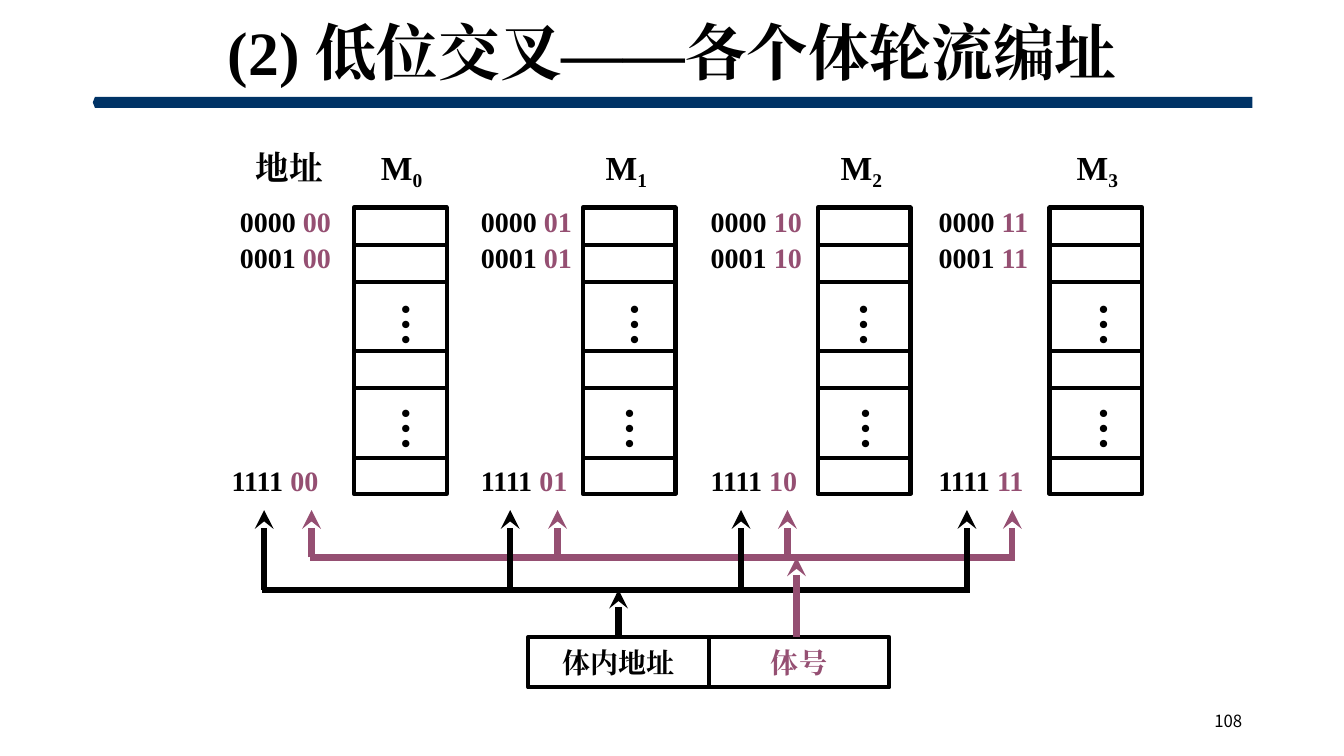
from pptx import Presentation
from pptx import util as u
from pptx.dml.color import RGBColor
from pptx.enum import shapes as sh, text as tx
from pptx.oxml.ns import qn
from lxml import etree

PX = 9144  # EMU per px, 100 px to the inch
BLACK = RGBColor(0, 0, 0)
PLUM = RGBColor(0x95, 0x4F, 0x72)
NAVY = RGBColor(0, 0x33, 0x66)
ROMAN, SANS = "Times New Roman", "Noto Sans CJK SC"

TITLE = "(2) 低位交叉——各个体轮流编址"
PAGE = "108"
HEAD = "地址"
# bank number, name x, cell x, address x, last address x, dots x, arrow x
BANKS = [
    ("0", 368, 351, 228, 220, (376, 376), (262, 309)),
    ("1", 591, 578, 467, 467, (603, 598), (506, 553)),
    ("2", 824, 811, 695, 695, (830, 832), (735, 781)),
    ("3", 1058, 1041, 921, 921, (1068, 1068), (959, 1004)),
]
ROWS = [206, 243, 280, 348, 385, 454, 490]
DOTS = [290, 393]
FIELDS = [("体内地址", 524, BLACK), ("体号", 703, PLUM)]
CELL_W, FIELD_W, FIELD_Y, FIELD_H = 92, 179, 632, 50
TIP, TAG_BUS, ROW_BUS = 506, 553, 585

deck = Presentation()
deck.slide_width, deck.slide_height = 1333 * PX, 750 * PX
page = deck.slides.add_slide(deck.slide_layouts[5])


def emu(*nums):
    return [round(n * PX) for n in nums]


def write(frame, *runs, size=20, font=ROMAN, bold=True, align=tx.PP_ALIGN.LEFT,
          anchor=tx.MSO_ANCHOR.TOP, wrap=False, grow=True, vert=None):
    """Fill a frame; each run is (words, colour) or (words, colour, baseline)."""
    frame.word_wrap = wrap
    fit = tx.MSO_AUTO_SIZE
    frame.auto_size = fit.SHAPE_TO_FIT_TEXT if grow else fit.NONE
    frame.vertical_anchor = anchor
    if vert:
        frame._txBody.bodyPr.set("vert", vert)
    para = frame.paragraphs[0]
    para.alignment = align
    for words, color, *base in runs:
        run = para.add_run()
        run.text = words
        run.font.size, run.font.bold, run.font.name = u.Pt(size), bold, font
        run.font.color.rgb = color
        props = run._r.get_or_add_rPr()
        etree.SubElement(props, qn("a:ea")).set("typeface", font)
        if base:
            props.set("baseline", str(base[0]))
    return para


def label(x, y, w, h, *runs, **form):
    write(page.shapes.add_textbox(*emu(x, y, w, h)).text_frame, *runs, **form)


def cell(x, y, w, h):
    box = page.shapes.add_shape(sh.MSO_SHAPE.RECTANGLE, *emu(x, y, w, h))
    box.shadow.inherit = False
    box.fill.background()
    box.line.color.rgb, box.line.width = BLACK, u.Pt(3)
    return box


def wire(x1, y1, x2, y2, color, arrow=True):
    bar = page.shapes.add_connector(sh.MSO_CONNECTOR.STRAIGHT,
                                    *emu(x1, y1, x2, y2))
    bar.line.color.rgb, bar.line.width = color, u.Pt(4.5)
    if arrow:
        tail = etree.SubElement(bar.line._get_or_add_ln(), qn("a:tailEnd"))
        tail.set("type", "stealth")
    etree.SubElement(bar._element.spPr, qn("a:effectLst"))
    return bar


def bank(num, name_x, cell_x, addr_x, last_x, dots, tips):
    label(name_x, 141, 63, 50, ("M", BLACK), (num, BLACK, -20000), size=24)
    for top, low in zip(ROWS, ROWS[1:]):
        cell(cell_x, top, CELL_W, low - top)
    for x, y in zip(dots, DOTS):
        label(x, y, 73, 55, ("…", BLACK), size=32, vert="eaVert")
    tag = format(int(num), "02b")
    for row, x, y in [("0000 ", addr_x, 198), ("0001 ", addr_x, 234),
                      ("1111 ", last_x, 455)]:
        label(x, y, 115, 43, (row, BLACK), (tag, PLUM), wrap=True)


def main():
    strip = page.shapes.add_shape(sh.MSO_SHAPE.PENTAGON, *emu(92, 96, 1150, 11))
    strip.adjustments[0] = 0.2
    strip.rotation = 180
    strip.shadow.inherit = False
    strip.fill.solid()
    strip.fill.fore_color.rgb = NAVY
    strip.line.fill.background()

    title = page.shapes.title
    title.left, title.top, title.width, title.height = emu(92, 14, 1150, 82)
    para = write(title.text_frame, (TITLE, BLACK), size=44, wrap=True, grow=False,
                 align=tx.PP_ALIGN.CENTER, anchor=tx.MSO_ANCHOR.MIDDLE)
    para.line_spacing = 0.9
    label(942, 695, 300, 40, (PAGE, BLACK), size=12, font=SANS, bold=False,
          wrap=True, grow=False, align=tx.PP_ALIGN.RIGHT,
          anchor=tx.MSO_ANCHOR.MIDDLE)

    label(244, 141, 87, 50, (HEAD, BLACK), size=24)
    for item in BANKS:
        bank(*item)

    boxes = []
    for words, x, color in FIELDS:
        box = cell(x, FIELD_Y, FIELD_W, FIELD_H)
        write(box.text_frame, (words, color), grow=False,
              align=tx.PP_ALIGN.CENTER, anchor=tx.MSO_ANCHOR.MIDDLE)
        boxes.append(box)

    row_tips, tag_tips = zip(*(item[-1] for item in BANKS))
    for tips, bus, color in [(tag_tips, TAG_BUS, PLUM),
                             (row_tips, ROW_BUS, BLACK)]:
        wire(tips[0] - 2, bus, tips[-1] + 3, bus, color, arrow=False)
        for x in tips:
            wire(x, bus, x, TIP, color)
    wire(790, FIELD_Y, 790, TAG_BUS, PLUM)
    mid = FIELDS[0][1] + FIELD_W / 2
    wire(mid, FIELD_Y, mid, ROW_BUS, BLACK).begin_connect(boxes[0], 0)

    deck.save("out.pptx")


if __name__ == "__main__":
    main()
